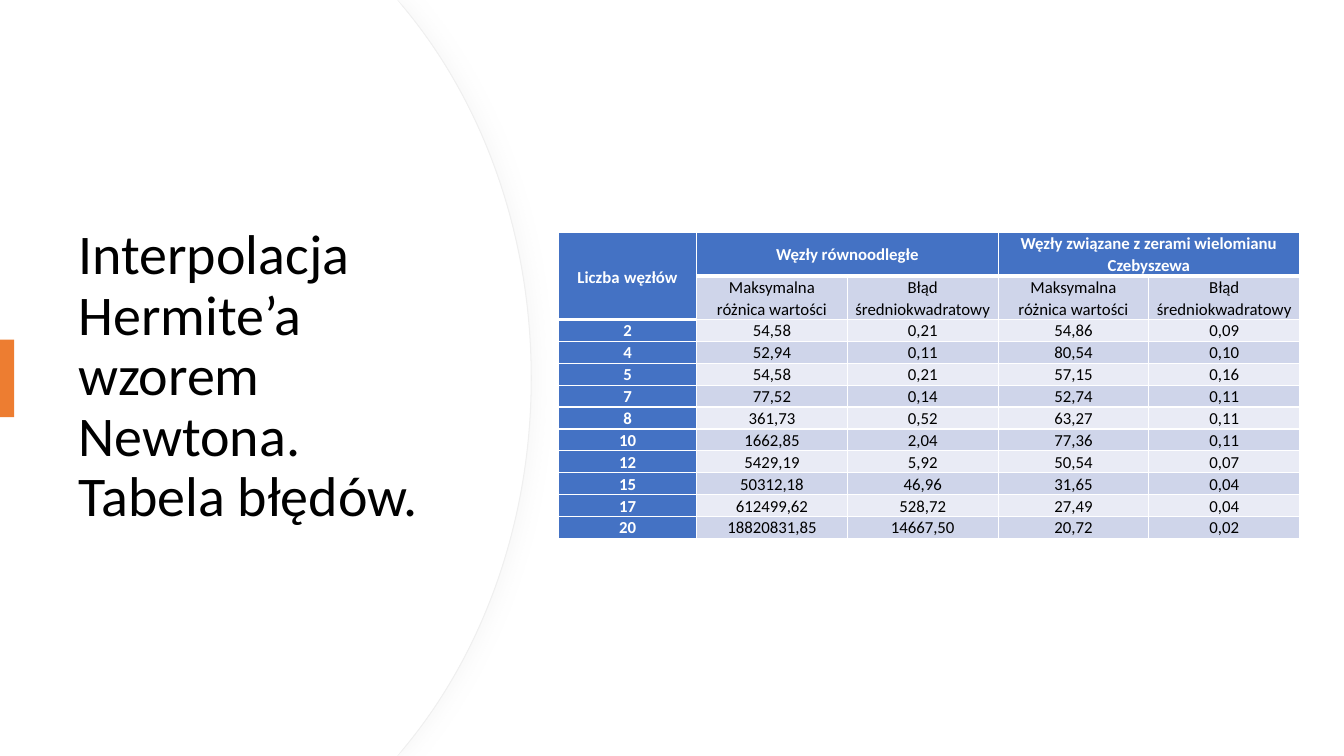
import pptx
import pptx.dml.color
import pptx.enum.shapes
import pptx.enum.text
import pptx.oxml
import pptx.oxml.ns
import pptx.util

HUES = {"white": "FFFFFF", "black": "000000", "edge": "EFEFEF", "shade": "D9D9D9",
        "bar": "ED7D31", "head": "4472C4", "dark": "CFD5EA", "light": "E9EBF5"}
NS = pptx.oxml.ns.nsdecls("a")
ALIGN = pptx.enum.text.PP_ALIGN
MID = pptx.enum.text.MSO_ANCHOR.MIDDLE


class Deck:
    """Builds a slide in one style, with lengths in percent of the slide's size."""

    def __init__(self, wide, high, font):
        self.prs = pptx.Presentation()
        self.prs.slide_width = pptx.util.Inches(wide)
        self.prs.slide_height = pptx.util.Inches(high)
        self.font = font
        self.slide = self.prs.slides.add_slide(self.prs.slide_layouts[6])
        self.shapes = self.slide.shapes

    def x(self, part):
        return round(self.prs.slide_width * part / 100)

    def y(self, part):
        return round(self.prs.slide_height * part / 100)

    def box(self, left, top, wide, high):
        return self.x(left), self.y(top), self.x(wide), self.y(high)

    def paint(self, item, hue):
        item.fill.solid()
        item.fill.fore_color.rgb = pptx.dml.color.RGBColor.from_string(HUES[hue])

    def run(self, para, text, size, hue, bold=False):
        run = para.add_run()
        run.text = text
        run.font.name = self.font
        run.font.size = pptx.util.Pt(size)
        run.font.bold = bold
        run.font.color.rgb = pptx.dml.color.RGBColor.from_string(HUES[hue])

    def title(self, place, lines, size):
        frame = self.shapes.add_textbox(*self.box(*place)).text_frame
        frame.word_wrap = True
        frame.vertical_anchor = MID
        para = frame.paragraphs[0]
        para.line_spacing = 0.9
        for i, line in enumerate(lines):
            if i:
                para.add_line_break()
            self.run(para, line, size, "black")

    def rect(self, place, hue):
        kind = pptx.enum.shapes.MSO_SHAPE.RECTANGLE
        shape = self.shapes.add_shape(kind, *self.box(*place))
        shape.shadow.inherit = False
        shape.line.fill.background()
        self.paint(shape, hue)

    def outline(self, points, bends, hue, edge=None):
        spots = [(self.x(a), self.y(b)) for a, b in points]
        form = self.shapes.build_freeform(*spots[0])
        form.add_line_segments(spots[1:], close=True)
        shape = form.convert_to_shape()
        self.curve(shape, bends)
        shape.shadow.inherit = False
        self.paint(shape, hue)
        if edge:
            shape.line.color.rgb = pptx.dml.color.RGBColor.from_string(HUES[edge])
            shape.line.width = pptx.util.Pt(0.75)
        else:
            shape.line.fill.background()
        return shape

    def curve(self, shape, bends):
        legs = list(shape.element.spPr.iter(pptx.oxml.ns.qn("a:lnTo")))
        for first in bends:
            arc = pptx.oxml.parse_xml(f"<a:cubicBezTo {NS}/>")
            legs[first].addprevious(arc)
            for leg in legs[first:first + 3]:
                arc.append(leg[0])
                leg.getparent().remove(leg)

    def shade(self, shape, hue, blur, gap, alpha):
        glow = shape.element.spPr.find(pptx.oxml.ns.qn("a:effectLst"))
        glow.append(pptx.oxml.parse_xml(
            f'<a:outerShdw {NS} blurRad="{pptx.util.Pt(blur)}" dist="{pptx.util.Pt(gap)}" '
            f'dir="0" algn="l" rotWithShape="0"><a:srgbClr val="{HUES[hue]}">'
            f'<a:alpha val="{alpha * 1000}"/></a:srgbClr></a:outerShdw>'))

    def table(self, left, top, cols, rows):
        place = self.box(left, top, sum(cols), sum(rows))
        grid = self.shapes.add_table(len(rows), len(cols), *place).table
        for col, wide in zip(grid.columns, cols):
            col.width = self.x(wide)
        for row, high in zip(grid.rows, rows):
            row.height = self.y(high)
        return grid

    def cell(self, cell, runs, fill, hue, bold, base):
        cell.vertical_anchor = MID
        cell.margin_left = cell.margin_right = pptx.util.Inches(0.07)
        cell.margin_top = cell.margin_bottom = 0
        props = cell._tc.get_or_add_tcPr()
        for side, wide in zip("LRTB", (1, 1, 1, base)):
            props.append(pptx.oxml.parse_xml(
                f'<a:ln{side} {NS} w="{pptx.util.Pt(wide)}"><a:solidFill>'
                f'<a:srgbClr val="{HUES["white"]}"/></a:solidFill></a:ln{side}>'))
        self.paint(cell, fill)
        para = cell.text_frame.paragraphs[0]
        para.alignment = ALIGN.CENTER
        para.line_spacing = 1.07
        para.space_after = pptx.util.Pt(8)
        for text, size in runs:
            self.run(para, text, size, hue, bold)


def panel(shift):
    arc = [(30.08, 1.07), (35.93, 13.6), (39.53, 30.93), (39.53, 50)]
    half = [(0, 0), (29.55, 0)] + [(a - shift, b) for a, b in arc]
    return half + [(a, 100 - b) for a, b in half[-2::-1]]


def main():
    deck = Deck(13.33, 7.5, "Calibri")
    bends = (2, 5)
    deck.shade(deck.outline(panel(0), bends, "white", "edge"), "shade", 14, 3, 20)
    deck.outline(panel(0.08), bends, "white")
    deck.title((5.1, 16.93, 29.55, 66),
               ["Interpolacja Hermite’a wzorem Newtona.", "Tabela błędów."], 40)
    deck.rect((0, 44.93, 1.05, 10.27), "bar")

    pair = ["Maksymalna różnica wartości", "Błąd średniokwadratowy"]
    data = [
        [None, "Węzły równoodległe", None,
         "Węzły związane z zerami wielomianu Czebyszewa", None],
        [None] + pair * 2,
        ["2", "54,58", "0,21", "54,86", "0,09"],
        ["4", "52,94", "0,11", "80,54", "0,10"],
        ["5", "54,58", "0,21", "57,15", "0,16"],
        ["7", "77,52", "0,14", "52,74", "0,11"],
        ["8", "361,73", "0,52", "63,27", "0,11"],
        ["10", "1662,85", "2,04", "77,36", "0,11"],
        ["12", "5429,19", "5,92", "50,54", "0,07"],
        ["15", "50312,18", "46,96", "31,65", "0,04"],
        ["17", "612499,62", "528,72", "27,49", "0,04"],
        ["20", "18820831,85", "14667,50", "20,72", "0,02"],
    ]
    grid = deck.table(41.55, 30.75, [10.28] + [11.22] * 4, [5.75] * 2 + [2.9] * 10)
    for first, last in (((0, 0), (1, 0)), ((0, 1), (0, 2)), ((0, 3), (0, 4))):
        grid.cell(*first).merge(grid.cell(*last))
    for r, row in enumerate(data):
        for c, text in enumerate(row):
            head = r == 0 or c == 0
            runs = [(text, 12)] if text else []
            if r == c == 0:
                runs = [("Liczba", 12), (" ", 14), ("węzłów", 12)]
            fill = "head" if head else "dark" if r % 2 else "light"
            base = 3 if r == 0 or (r, c) == (1, 0) else 1
            deck.cell(grid.cell(r, c), runs, fill, "white" if head else "black", head, base)
    deck.prs.save("out.pptx")


if __name__ == "__main__":
    main()
